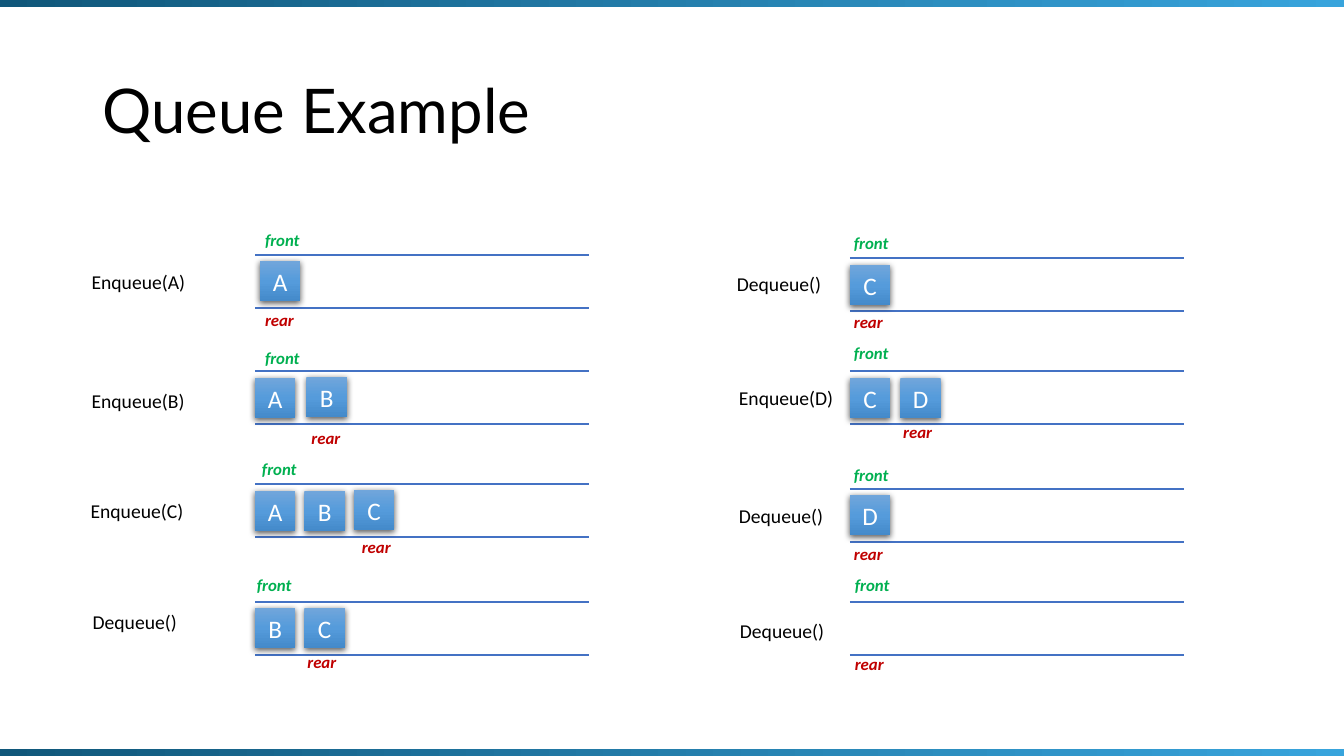
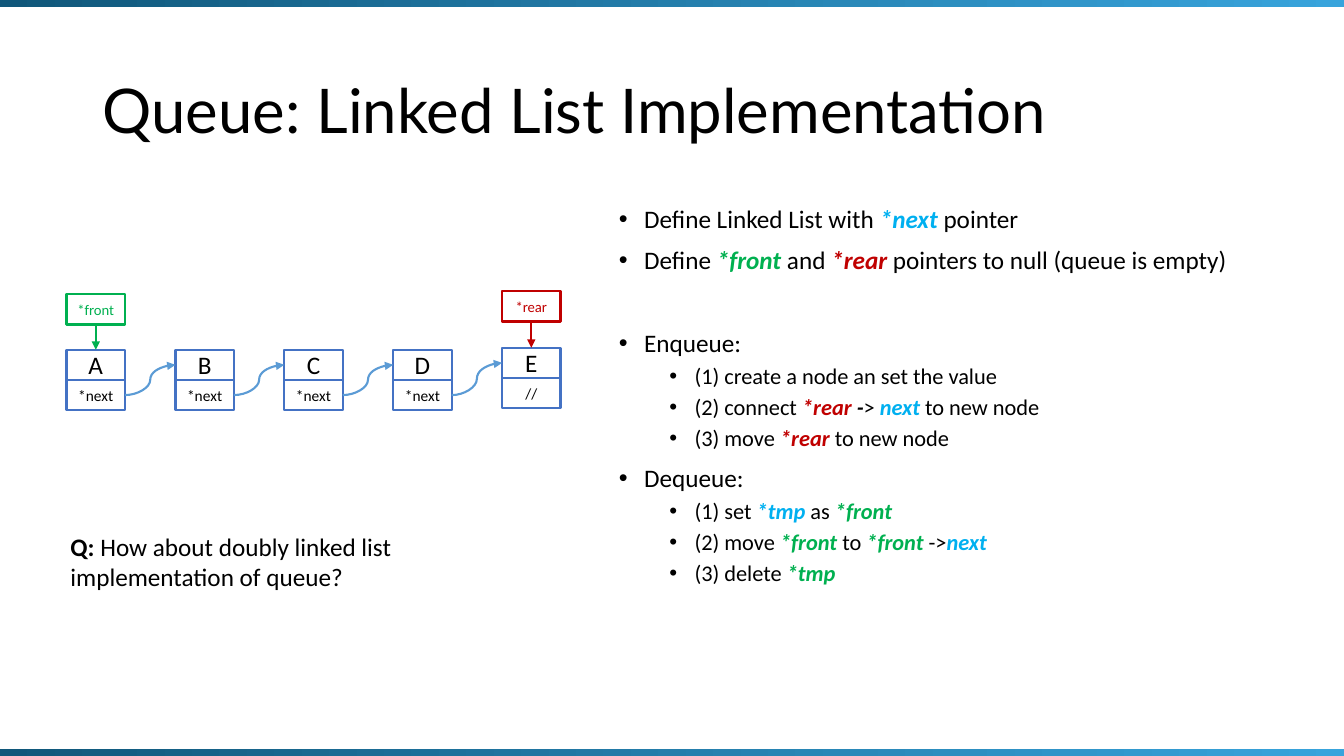
from dataclasses import dataclass

from lxml import etree
from pptx import Presentation
from pptx.dml.color import RGBColor
from pptx.enum.shapes import MSO_CONNECTOR, MSO_SHAPE
from pptx.enum.text import MSO_ANCHOR, MSO_AUTO_SIZE, PP_ALIGN
from pptx.oxml.ns import qn
from pptx.shapes.autoshape import Shape
from pptx.shapes.connector import Connector
from pptx.slide import Slide
from pptx.util import Inches, Pt

RECTANGLE = MSO_SHAPE.RECTANGLE
STRAIGHT, CURVE = MSO_CONNECTOR.STRAIGHT, MSO_CONNECTOR.CURVE
TOP, MIDDLE = MSO_ANCHOR.TOP, MSO_ANCHOR.MIDDLE
LEFT, CENTER = PP_ALIGN.LEFT, PP_ALIGN.CENTER
TOP_SITE, LEFT_SITE, BOTTOM_SITE, RIGHT_SITE = range(4)

COLORS = {
    "black": "000000", "white": "FFFFFF", "blue": "4472C4", "arrow": "5B9BD5",
    "front": "00B050", "rear": "C00000", "next": "00B0F0",
    "band_start": "10577A", "band_end": "38A4DC",
    "item_top": "71A6DB", "item_middle": "559BDB", "item_bottom": "448ACA",
}
TITLE_FONT, BODY_FONT = "Lato", "Calibri"
SLIDE_WIDTH, SLIDE_HEIGHT = 13.33, 7.5
TRACK_WIDTH, TRACK_HEIGHT = 3.31, 0.53
ITEM_SIZE = 0.4
NODE_WIDTH, NODE_HEIGHT, NODE_PITCH = 0.58, 0.3, 1.08


@dataclass(frozen=True)
class Box:
    left: float
    top: float
    width: float
    height: float


@dataclass(frozen=True)
class TextRun:
    text: str
    color: str = "black"
    bold: bool = False
    italic: bool = False


@dataclass(frozen=True)
class Bullet:
    runs: tuple[TextRun, ...]
    level: int = 0
    space_before: float = 10


@dataclass(frozen=True)
class Item:
    text: str
    left: float
    top: float


@dataclass(frozen=True)
class QueueStep:
    label: Item
    track_left: float
    track_top: float
    items: tuple[Item, ...]
    front: tuple[float, float]
    rear: tuple[float, float]


@dataclass(frozen=True)
class Node:
    value: str
    link: str
    top: float = 3.47


@dataclass(frozen=True)
class Pointer:
    name: str
    node_index: int
    top: float


def rgb(name: str) -> RGBColor:
    return RGBColor.from_string(COLORS[name])


def plain(text: str) -> TextRun:
    return TextRun(text)


def strong(text: str, color: str) -> TextRun:
    return TextRun(text, color, True, True)


def add_runs(paragraph, runs: tuple[TextRun, ...], size: float, font: str = BODY_FONT) -> None:
    for text_run in runs:
        run = paragraph.add_run()
        run.text = text_run.text
        run.font.name, run.font.size = font, Pt(size)
        run.font.bold, run.font.italic = text_run.bold, text_run.italic
        run.font.color.rgb = rgb(text_run.color)


def add_text(slide: Slide, box: Box, runs: tuple[TextRun, ...], size: float,
             font: str = BODY_FONT, wrap: bool = False, anchor=TOP) -> Shape:
    shape = slide.shapes.add_textbox(
        Inches(box.left), Inches(box.top), Inches(box.width), Inches(box.height))
    frame = shape.text_frame
    frame.word_wrap, frame.vertical_anchor = wrap, anchor
    frame.auto_size = MSO_AUTO_SIZE.NONE
    add_runs(frame.paragraphs[0], runs, size, font)
    return shape


def add_rectangle(slide: Slide, box: Box) -> Shape:
    shape = slide.shapes.add_shape(
        RECTANGLE, Inches(box.left), Inches(box.top), Inches(box.width), Inches(box.height))
    shape.shadow.inherit = False
    shape.line.fill.background()
    return shape


def write_centered(shape: Shape, text_run: TextRun, size: float) -> None:
    shape.text_frame.vertical_anchor = MIDDLE
    paragraph = shape.text_frame.paragraphs[0]
    paragraph.alignment = CENTER
    add_runs(paragraph, (text_run,), size)


def fill_gradient(shape: Shape, names: tuple[str, ...], angle: float) -> None:
    shape.fill.gradient()
    shape.fill.gradient_angle = angle
    stop_list = shape._element.spPr.find(qn("a:gradFill")).find(qn("a:gsLst"))
    for stop in list(stop_list):
        stop_list.remove(stop)
    for index, name in enumerate(names):
        position = 100000 * index // (len(names) - 1)
        stop = etree.SubElement(stop_list, qn("a:gs"), pos=str(position))
        etree.SubElement(stop, qn("a:srgbClr"), val=COLORS[name])


def add_soft_shadow(shape: Shape) -> None:
    effects = shape._element.spPr.find(qn("a:effectLst"))
    shadow = etree.SubElement(
        effects, qn("a:outerShdw"), blurRad=str(Pt(4.5)), dist=str(Pt(1.5)),
        dir="5400000", algn="ctr", rotWithShape="0")
    color = etree.SubElement(shadow, qn("a:srgbClr"), val=COLORS["black"])
    etree.SubElement(color, qn("a:alpha"), val="63000")


def add_line(slide: Slide, kind, start: tuple[float, float], end: tuple[float, float],
             color: str, arrow: bool = False) -> Connector:
    connector = slide.shapes.add_connector(
        kind, Inches(start[0]), Inches(start[1]), Inches(end[0]), Inches(end[1]))
    connector.line.color.rgb = rgb(color)
    connector.line.width = Pt(1.5)
    properties = connector._element.spPr
    if arrow:
        etree.SubElement(properties.find(qn("a:ln")), qn("a:tailEnd"), type="triangle")
    etree.SubElement(properties, qn("a:effectLst"))
    return connector


def add_arrow(slide: Slide, kind, source: Shape, source_site: int,
              target: Shape, target_site: int, color: str) -> None:
    connector = add_line(slide, kind, (0, 0), (1, 1), color, arrow=True)
    connector.begin_connect(source, source_site)
    connector.end_connect(target, target_site)


def add_base_slide(presentation, title: str) -> Slide:
    slide = presentation.slides.add_slide(presentation.slide_layouts[6])
    shape = add_text(slide, Box(0.92, 0.4, 11.5, 1.45), (plain(title),), 44,
                     TITLE_FONT, True, MIDDLE)
    shape.text_frame.paragraphs[0].line_spacing = 0.9
    for top in (-0.01, 7.43):
        band = add_rectangle(slide, Box(0, top, SLIDE_WIDTH, 0.08))
        fill_gradient(band, ("band_start", "band_end"), 0)
    return slide


def draw_step(slide: Slide, step: QueueStep) -> None:
    for top in (step.track_top, step.track_top + TRACK_HEIGHT):
        add_line(slide, STRAIGHT, (step.track_left, top),
                 (step.track_left + TRACK_WIDTH, top), "blue")
    for item in step.items:
        shape = add_rectangle(slide, Box(item.left, item.top, ITEM_SIZE, ITEM_SIZE))
        fill_gradient(shape, ("item_top", "item_middle", "item_bottom"), 270)
        add_soft_shadow(shape)
        write_centered(shape, TextRun(item.text, "white"), 18)
    label = step.label
    add_text(slide, Box(label.left, label.top, 1.14, 0.34), (plain(label.text),), 14)
    for name, (left, top), width in (("front", step.front, 0.55), ("rear", step.rear, 0.49)):
        add_text(slide, Box(left, top, width, 0.3), (strong(name, name),), 12)


def add_cell(slide: Slide, left: float, top: float, text_run: TextRun,
             size: float, outline: str) -> Shape:
    shape = add_rectangle(slide, Box(left, top, NODE_WIDTH, NODE_HEIGHT))
    shape.fill.solid()
    shape.fill.fore_color.rgb = rgb("white")
    shape.line.color.rgb = rgb(outline)
    shape.line.width = Pt(1.5)
    write_centered(shape, text_run, size)
    return shape


def draw_linked_list(slide: Slide, nodes: tuple[Node, ...], pointers: tuple[Pointer, ...]) -> None:
    lefts = [0.66 + NODE_PITCH * index for index in range(len(nodes))]
    values, links = [], []
    for left, node in zip(lefts, nodes):
        values.append(add_cell(slide, left, node.top, plain(node.value), 18, "blue"))
        links.append(add_cell(slide, left, node.top + NODE_HEIGHT, plain(node.link), 11, "blue"))
    for link, value in zip(links, values[1:]):
        add_arrow(slide, CURVE, link, RIGHT_SITE, value, LEFT_SITE, "arrow")
    for pointer in pointers:
        index, name = pointer.node_index, pointer.name
        shape = add_cell(slide, lefts[index], pointer.top, TextRun(f"*{name}", name), 10.5, name)
        add_arrow(slide, STRAIGHT, shape, BOTTOM_SITE, values[index], TOP_SITE, name)


def draw_bullets(slide: Slide, box: Box, bullets: tuple[Bullet, ...]) -> None:
    frame = add_text(slide, box, (), 18, wrap=True).text_frame
    for index, bullet in enumerate(bullets):
        paragraph = frame.add_paragraph() if index else frame.paragraphs[0]
        paragraph.level, paragraph.alignment = bullet.level, LEFT
        paragraph.line_spacing = 0.9
        paragraph.space_before = Pt(bullet.space_before)
        properties = paragraph._p.get_or_add_pPr()
        properties.set("marL", str(Inches(0.25 + 0.5 * bullet.level)))
        properties.set("indent", str(Inches(-0.25)))
        etree.SubElement(properties, qn("a:buFont"), typeface="Arial")
        etree.SubElement(properties, qn("a:buChar"), char="•")
        add_runs(paragraph, bullet.runs, 18 - 2 * bullet.level)


def detail(*runs: TextRun) -> Bullet:
    return Bullet(runs, 1, 5)


STEPS = (
    QueueStep(Item("Enqueue(A)", 0.81, 2.63), 2.53, 2.53,
              (Item("A", 2.58, 2.59),), (2.53, 2.23), (2.53, 3.02)),
    QueueStep(Item("Enqueue(B)", 0.81, 3.81), 2.53, 3.68,
              (Item("A", 2.53, 3.75), Item("B", 3.04, 3.74)), (2.53, 3.4), (2.99, 4.19)),
    QueueStep(Item("Enqueue(C)", 0.8, 4.9), 2.53, 4.8,
              (Item("A", 2.53, 4.87), Item("B", 3.02, 4.87), Item("C", 3.51, 4.86)),
              (2.5, 4.5), (3.49, 5.28)),
    QueueStep(Item("Dequeue()", 0.82, 6), 2.53, 5.97,
              (Item("B", 2.53, 6.03), Item("C", 3.02, 6.03)), (2.45, 5.65), (2.95, 6.42)),
    QueueStep(Item("Dequeue()", 7.21, 2.65), 8.43, 2.56,
              (Item("C", 8.43, 2.63),), (8.37, 2.26), (8.37, 3.04)),
    QueueStep(Item("Enqueue(D)", 7.23, 3.78), 8.43, 3.68,
              (Item("C", 8.43, 3.75), Item("D", 8.93, 3.75)), (8.37, 3.35), (8.86, 4.13)),
    QueueStep(Item("Dequeue()", 7.23, 4.95), 8.43, 4.85,
              (Item("D", 8.43, 4.91),), (8.37, 4.56), (8.37, 5.35)),
    QueueStep(Item("Dequeue()", 7.24, 6.09), 8.43, 5.97, (), (8.38, 5.65), (8.38, 6.44)),
)
NODES = (*(Node(value, "*next") for value in "ABCD"), Node("E", "//", 3.45))
POINTERS = (Pointer("rear", 4, 2.89), Pointer("front", 0, 2.92))
BULLETS = (
    Bullet((plain("Define Linked List with "), strong("*next ", "next"), plain("pointer"))),
    Bullet((plain("Define "), strong("*front ", "front"), plain("and "),
            strong("*rear ", "rear"), plain("pointers to null (queue is empty)"))),
    Bullet((plain("Enqueue:"),), space_before=40),
    detail(plain("(1) create a node an set the value")),
    detail(plain("(2) connect "), strong("*rear ", "rear"), strong("-", "black"),
           plain(">"), strong(" next", "next"), plain(" to new node")),
    detail(plain("(3) move "), strong("*rear ", "rear"), plain("to new node")),
    Bullet((plain("Dequeue:"),)),
    detail(plain("(1) set "), strong("*tmp ", "next"), plain("as "), strong("*front", "front")),
    detail(plain("(2) move "), strong("*front ", "front"), plain("to "),
           strong("*front ", "front"), plain("->"), strong("next", "next")),
    detail(plain("(3) delete "), strong("*tmp", "front")),
)

presentation = Presentation()
presentation.slide_width = Inches(SLIDE_WIDTH)
presentation.slide_height = Inches(SLIDE_HEIGHT)

example_slide = add_base_slide(presentation, "Queue Example")
for queue_step in STEPS:
    draw_step(example_slide, queue_step)

list_slide = add_base_slide(presentation, "Queue: Linked List Implementation")
draw_bullets(list_slide, Box(6.04, 2, 6.85, 4.95), BULLETS)
draw_linked_list(list_slide, NODES, POINTERS)
add_text(list_slide, Box(0.6, 5.22, 3.58, 0.71),
         (TextRun("Q: ", bold=True),
          plain("How about doubly linked list implementation of queue?")), 18, wrap=True)

presentation.save("out.pptx")
